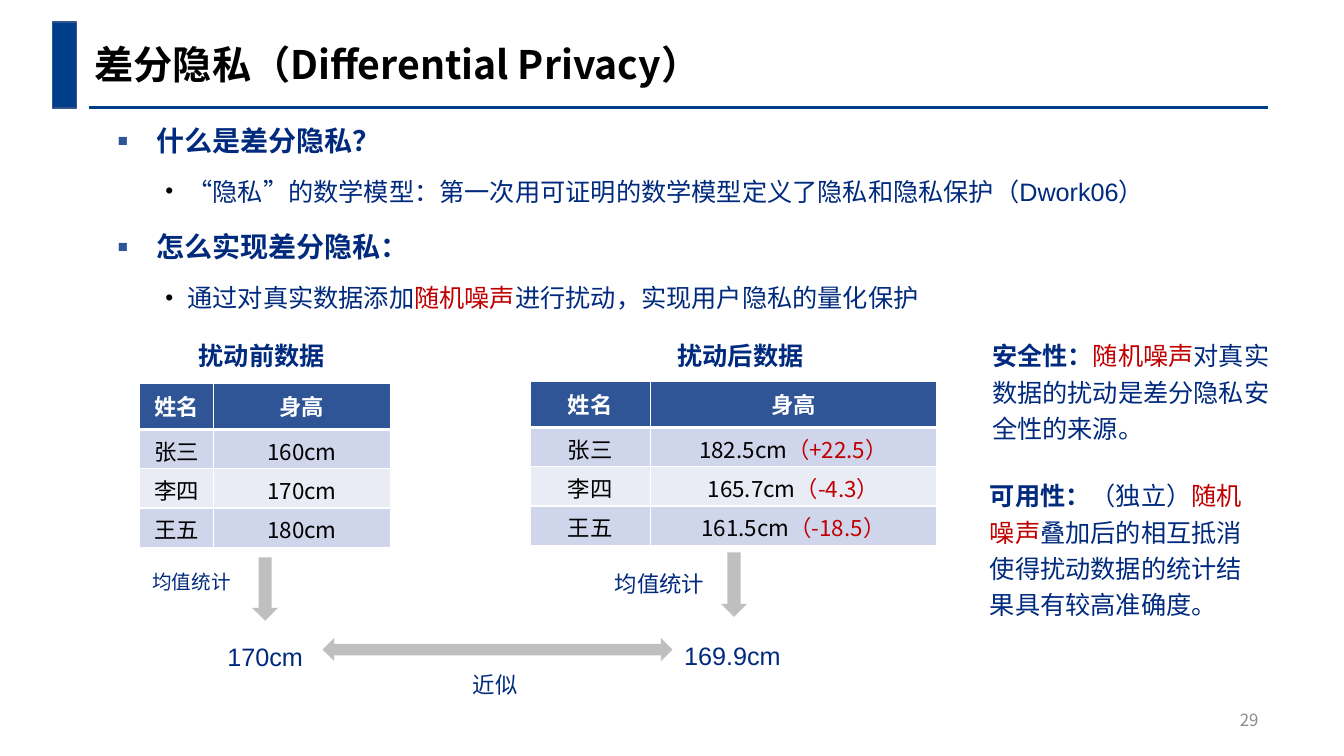
"""Build the slide that introduces differential privacy with a height-table example."""
from dataclasses import dataclass

from lxml.etree import SubElement
from pptx import Presentation
from pptx.dml.color import RGBColor
from pptx.enum.shapes import MSO_CONNECTOR as Connector, MSO_SHAPE as Shape
from pptx.enum.text import MSO_ANCHOR as Anchor, PP_ALIGN as Align
from pptx.oxml import parse_xml
from pptx.oxml.ns import nsdecls, qn
from pptx.util import Inches, Pt


@dataclass(frozen=True)
class Theme:
    cjk: str = "Noto Sans CJK SC"
    latin: str = "Arial"
    bar: str = "003E8A"
    bar_edge: str = "325491"
    navy: str = "002A7E"
    red: str = "C00000"
    black: str = "000000"
    white: str = "FFFFFF"
    header: str = "2F5597"
    bands: tuple = ("CFD5EA", "E9EBF5")
    arrow: str = "BFBFBF"
    page: str = "8C8C8C"
    title_size: int = 28
    topic_size: int = 20
    body_size: int = 18
    table_size: int = 16
    small_size: int = 14
    page_size: int = 12


theme = Theme()
rgb = RGBColor.from_string


def add_runs(paragraph, runs, size, font=theme.latin):
    for text, color, bold in runs:
        run = paragraph.add_run()
        run.text = text
        run.font.name = font
        run.font.size = Pt(size)
        run.font.bold = bold
        run.font.color.rgb = rgb(color)
        latin = run.font._element.find(qn("a:latin"))
        latin.addnext(parse_xml(f'<a:ea {nsdecls("a")} typeface="{theme.cjk}"/>'))


def add_text(box, runs, size, font=theme.latin, align=Align.LEFT, spacing=1.2,
             inset=(0.1, 0.05), indent=(0, 0)):
    frame = slide.shapes.add_textbox(*map(Inches, box)).text_frame
    frame.word_wrap = True
    frame.margin_left = frame.margin_right = Inches(inset[0])
    frame.margin_top = frame.margin_bottom = Inches(inset[1])
    paragraph = frame.paragraphs[0]
    paragraph.alignment = align
    paragraph.line_spacing = spacing
    properties = paragraph._p.get_or_add_pPr()
    properties.set("marL", str(Inches(indent[0])))
    properties.set("indent", str(Inches(indent[1])))
    add_runs(paragraph, runs, size, font)
    return frame


deck = Presentation()
deck.slide_width, deck.slide_height = Inches(13.33), Inches(7.5)
slide = deck.slides.add_slide(deck.slide_layouts[6])

title_rule = slide.shapes.add_connector(
    Connector.STRAIGHT, Inches(0.88), Inches(1.07), Inches(12.58), Inches(1.07))
title_rule.line.color.rgb = rgb(theme.bar)
title_rule.line.width = Pt(2.25)
SubElement(title_rule._element.spPr, qn("a:effectLst"))

title_bar = slide.shapes.add_shape(
    Shape.RECTANGLE, Inches(0.52), Inches(0.22), Inches(0.24), Inches(0.85))
title_bar.shadow.inherit = False
title_bar.fill.solid()
title_bar.fill.fore_color.rgb = rgb(theme.bar)
title_bar.line.color.rgb = rgb(theme.bar_edge)
title_bar.line.width = Pt(1)

add_text((0.84, 0.35, 9.76, 0.57), [("差分隐私（Differential Privacy）", theme.black, True)],
         theme.title_size, theme.cjk, spacing=1.0)

outline = [
    (True, [("什么是差分隐私？", theme.navy, True)]),
    (False, [("“隐私”的数学模型：第一次用可证明的数学模型定义了隐私和隐私保护（Dwork06）",
              theme.navy, False)]),
    (True, [("怎么实现差分隐私：", theme.navy, True)]),
    (False, [("通过对真实数据添加", theme.navy, False), ("随机噪声", theme.red, False),
             ("进行扰动，实现用户隐私的量化保护", theme.navy, False)]),
]
outline_frame = slide.shapes.add_textbox(
    Inches(1.12), Inches(1.11), Inches(10.43), Inches(1.98)).text_frame
outline_frame.word_wrap = True
outline_frame.margin_left = outline_frame.margin_right = Inches(0.05)
for index, (is_topic, runs) in enumerate(outline):
    paragraph = outline_frame.add_paragraph() if index else outline_frame.paragraphs[0]
    paragraph.line_spacing = 1.2 if is_topic else Pt(35)
    if is_topic and index:
        paragraph.space_before = Pt(12)
    margin, hanging, mark, color, percent = (
        (0.38, -0.38, "■", theme.header, 60) if is_topic
        else (0.69, -0.22, "•", theme.black, 90))
    properties = paragraph._p.get_or_add_pPr()
    properties.set("marL", str(Inches(margin)))
    properties.set("indent", str(Inches(hanging)))
    bullet_color = SubElement(properties, qn("a:buClr"))
    SubElement(bullet_color, qn("a:srgbClr"), val=color)
    SubElement(properties, qn("a:buSzPct"), val=str(percent * 1000))
    SubElement(properties, qn("a:buFont"), typeface=theme.latin)
    SubElement(properties, qn("a:buChar"), char=mark)
    add_runs(paragraph, runs, theme.topic_size if is_topic else theme.body_size,
             theme.cjk if is_topic else theme.latin)

names = ["张三", "李四", "王五"]
height_tables = [
    ((1.38, 3.8), (0.74, 1.75), Anchor.MIDDLE,
     [("160cm", ""), ("170cm", ""), ("180cm", "")]),
    ((5.26, 3.78), (1.19, 2.84), Anchor.TOP,
     [("182.5cm", "（+22.5）"), ("165.7cm", "（-4.3）"), ("161.5cm", "（-18.5）")]),
]
row_heights = (0.46, 0.39, 0.39, 0.39)
for (left, top), widths, body_anchor, heights in height_tables:
    table = slide.shapes.add_table(
        4, 2, Inches(left), Inches(top), Inches(sum(widths)), Inches(sum(row_heights))).table
    for column, width in zip(table.columns, widths):
        column.width = Inches(width)
    for row, height in zip(table.rows, row_heights):
        row.height = Inches(height)
    rows = [[[("姓名", theme.white, True)], [("身高", theme.white, True)]]]
    for name, (value, noise) in zip(names, heights):
        value_runs = [(value, theme.black, False)]
        if noise:
            value_runs.append((noise, theme.red, False))
        rows.append([[(name, theme.black, False)], value_runs])
    for r, row in enumerate(rows):
        for c, runs in enumerate(row):
            cell = table.cell(r, c)
            cell.vertical_anchor = body_anchor if r else Anchor.MIDDLE
            cell.fill.solid()
            cell.fill.fore_color.rgb = rgb(theme.bands[(r - 1) % 2] if r else theme.header)
            cell.text_frame.paragraphs[0].alignment = Align.CENTER
            add_runs(cell.text_frame.paragraphs[0], runs, theme.table_size, theme.cjk)
            borders = {"lnL": 1, "lnR": 1, "lnT": 3 if r == 1 else 1, "lnB": 1 if r else 3}
            for position, (side, points) in enumerate(borders.items()):
                cell._tc.get_or_add_tcPr().insert(position, parse_xml(
                    f'<a:{side} {nsdecls("a")} w="{Pt(points)}"><a:solidFill>'
                    f'<a:srgbClr val="{theme.white}"/></a:solidFill></a:{side}>'))

for left, width, caption in [(1.2, 2.49, "扰动前数据"), (5.95, 2.57, "扰动后数据")]:
    add_text((left, 3.32, width, 0.33), [(caption, theme.navy, True)], theme.body_size,
             inset=(0, 0), indent=(1.08, -0.31))

flow_labels = [
    ((1.31, 5.56, 1.18, 0.49), "均值统计", theme.small_size, 0.05),
    ((5.82, 5.55, 1.44, 0.49), "均值统计", theme.table_size, 0.05),
    ((4.44, 6.56, 0.94, 0.49), "近似", theme.table_size, 0.05),
    ((2.1, 6.25, 1.06, 0.43), "170cm", theme.body_size, 0.1),
    ((6.48, 6.24, 1.57, 0.43), "169.9cm", theme.body_size, 0.1),
]
for box, label, size, side_inset in flow_labels:
    add_text(box, [(label, theme.navy, False)], size, align=Align.CENTER,
             inset=(side_inset, 0.05))

flow_arrows = [
    (Shape.DOWN_ARROW, (2.5, 5.53, 0.26, 0.63)),
    (Shape.DOWN_ARROW, (7.15, 5.48, 0.26, 0.64)),
    (Shape.LEFT_RIGHT_ARROW, (3.2, 6.33, 3.47, 0.23)),
]
for kind, box in flow_arrows:
    arrow = slide.shapes.add_shape(kind, *map(Inches, box))
    arrow.shadow.inherit = False
    arrow.fill.solid()
    arrow.fill.fore_color.rgb = rgb(theme.arrow)
    arrow.line.fill.background()

add_text((9.42, 3.32, 3.29, 1.09),
         [("安全性：", theme.navy, True), ("随机噪声", theme.red, False),
          ("对真实数据的扰动是差分隐私安全性的来源。", theme.navy, False)],
         theme.body_size, inset=(0, 0), indent=(0.42, 0))
add_text((9.3, 4.66, 3.29, 1.52),
         [("可用性：", theme.navy, True), ("（独立）", theme.navy, False),
          ("随机噪声", theme.red, False),
          ("叠加后的相互抵消使得扰动数据的统计结果具有较高准确度。", theme.navy, False)],
         theme.body_size, indent=(0.42, 0))

page_frame = add_text((10.33, 6.94, 2.25, 0.4), [("29", theme.page, False)],
                      theme.page_size, theme.cjk, Align.RIGHT, spacing=1.0)
page_frame.vertical_anchor = Anchor.MIDDLE

deck.save("out.pptx")
